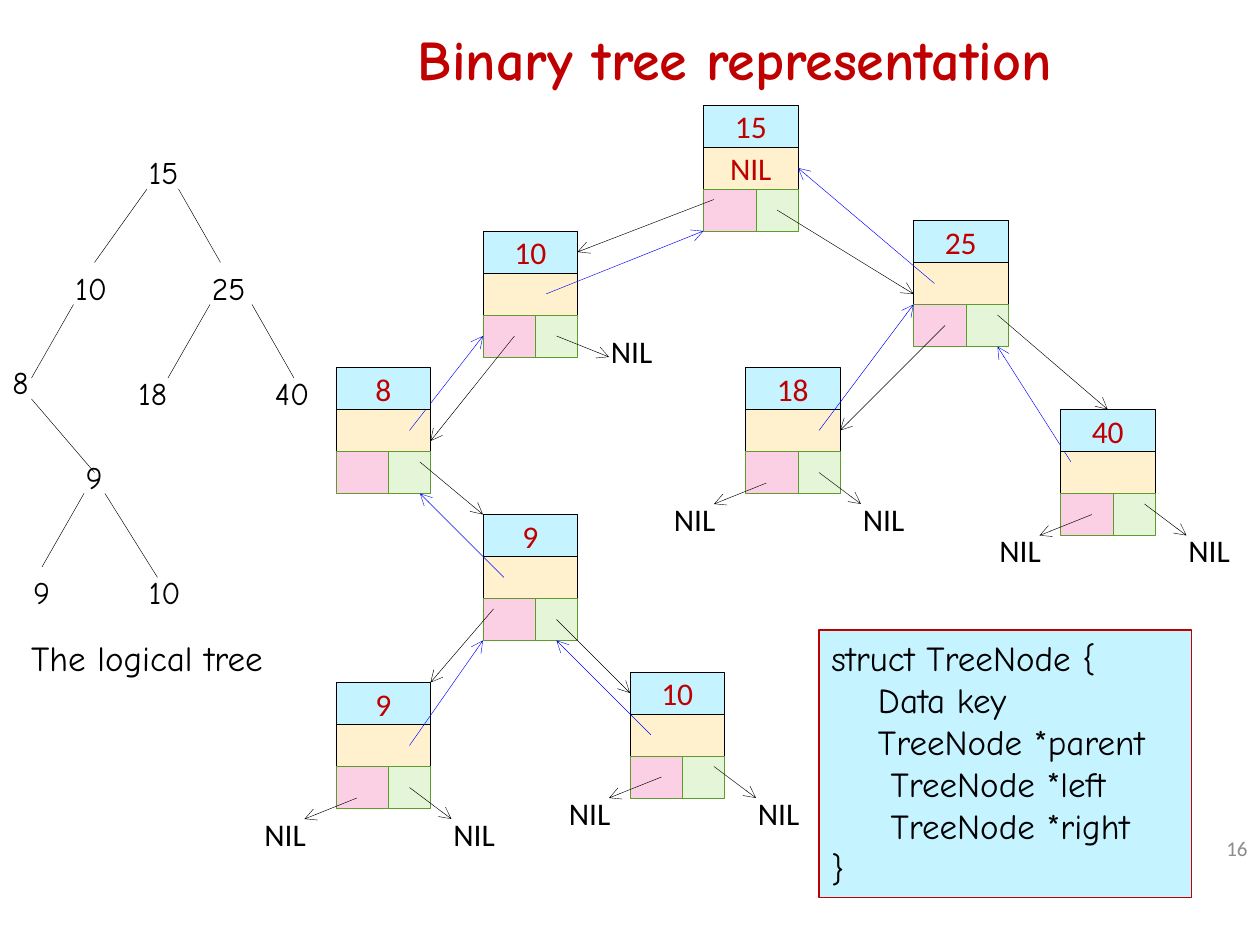
from lxml import etree
from pptx import Presentation, util as u
from pptx.dml.color import RGBColor
from pptx.enum import shapes, text
from pptx.oxml.ns import qn

BLACK = RGBColor(0x00, 0x00, 0x00)
RED = RGBColor(0xC0, 0x00, 0x00)
BLUE = RGBColor(0x00, 0x00, 0xFF)
GREY = RGBColor(0x8C, 0x8C, 0x8C)
SKY = RGBColor(0xC5, 0xF3, 0xFF)
CREAM = RGBColor(0xFF, 0xF1, 0xCE)
PINK = RGBColor(0xFB, 0xD0, 0xE4)
MINT = RGBColor(0xE5, 0xF6, 0xD8)
LEAF = RGBColor(0x5E, 0x9B, 0x2C)
HAND, SANS = "Comic Neue", "Calibri"
LEFT, CENTER, RIGHT = text.PP_ALIGN.LEFT, text.PP_ALIGN.CENTER, text.PP_ALIGN.RIGHT

prs = Presentation()
prs.slide_width, prs.slide_height = u.Inches(10), u.Inches(7.5)
UNIT = prs.slide_width // 120  # the slide is a grid of 120 columns by 90 rows
s = prs.slides.add_slide(prs.slide_layouts[5])


def put(x, y, w, h, lines=(), size=18, font=SANS, color=BLACK, align=LEFT,
        fill=None, line=BLACK, weight=0.25, wrap=False, anchor=text.MSO_ANCHOR.TOP):
    """Add a filled rectangle, or a plain text box when no fill is given."""
    at = [int(v * UNIT) for v in (x, y, w, h)]
    if fill is None:
        sp = s.shapes.add_textbox(*at)
    else:
        sp = s.shapes.add_shape(shapes.MSO_SHAPE.RECTANGLE, *at)
        sp.shadow.inherit = False
        sp.fill.solid()
        sp.fill.fore_color.rgb = fill
        sp.line.color.rgb = line
        sp.line.width = u.Pt(weight)
    tf = sp.text_frame
    tf.word_wrap = wrap
    tf.vertical_anchor = anchor
    for i, words in enumerate(lines):
        p = tf.add_paragraph() if i else tf.paragraphs[0]
        p.alignment = align
        r = p.add_run()
        r.text = words
        r.font.size, r.font.name, r.font.color.rgb = u.Pt(size), font, color
    return sp


def link(x1, y1, x2, y2, color=BLACK, arrow=True, target=None, side=0):
    c = s.shapes.add_connector(shapes.MSO_CONNECTOR.STRAIGHT,
                               *[int(v * UNIT) for v in (x1, y1, x2, y2)])
    c.line.color.rgb = color
    c.line.width = u.Pt(0.25)
    if arrow:
        etree.SubElement(c.line._get_or_add_ln(), qn("a:tailEnd"), type="arrow")
    etree.SubElement(c._element.spPr, qn("a:effectLst"))
    if target is not None:
        c.end_connect(target, side)


# Title and slide number
title = s.shapes.title
title.left, title.top, title.width, title.height = [
    int(v * UNIT) for v in (16, -2, 108, 15)]
title.text_frame.text = "Binary tree representation"
title.text_frame.vertical_anchor = text.MSO_ANCHOR.MIDDLE
title.text_frame.auto_size = text.MSO_AUTO_SIZE.NONE
p = title.text_frame.paragraphs[0]
p.alignment = CENTER
for name, value in {"size": u.Pt(32), "name": HAND, "bold": True}.items():
    setattr(p.runs[0].font, name, value)
p.runs[0].font.color.rgb = RED
put(92, 78.4, 28, 4.8, ["16"], 12, color=GREY, align=RIGHT, wrap=True,
    anchor=text.MSO_ANCHOR.MIDDLE)

# Node records: key on top, parent below it, then left and right pointers
nodes = {
    "root": ("15", 67, 10), "n10": ("10", 46, 22), "n25": ("25", 87, 21),
    "n8": ("8", 32, 35), "n9": ("9", 46, 49), "leaf9": ("9", 32, 65),
    "leaf10": ("10", 60, 64), "n18": ("18", 71, 35), "n40": ("40", 101, 39),
}
MIDDLE = {"color": RED, "align": CENTER, "anchor": text.MSO_ANCHOR.MIDDLE}
cells = {}
for name, (key, x, y) in nodes.items():
    parent = ["NIL"] if name == "root" else []
    cells[name, "parent"] = put(x, y + 4, 9, 4, parent, fill=CREAM, **MIDDLE)
    cells[name, "left"] = put(x, y + 8, 5, 4, fill=PINK, line=LEAF)
    cells[name, "right"] = put(x + 5, y + 8, 4, 4, fill=MINT, line=LEAF)

# Parent pointers that pass behind the key fields
for ends, target, side in [
    ((39, 41, 46, 32), ("n10", "left"), 1),
    ((62, 70, 53, 61), ("n9", "right"), 2),
    ((102, 44, 95, 33), None, 0),
]:
    link(*ends, color=BLUE, target=cells.get(target), side=side)

for name, (key, x, y) in nodes.items():
    cells[name, "key"] = put(x, y, 9, 4, [key], fill=SKY, **MIDDLE)

# Remaining parent pointers (blue) and child pointers (black)
for ends, color, target, side in [
    ((52, 28, 67, 22), BLUE, None, 0),
    ((89, 27, 76, 16), BLUE, ("root", "parent"), 3),
    ((48, 55, 40, 47), BLUE, None, 0),
    ((39, 71, 46, 61), BLUE, None, 0),
    ((78, 41, 87, 29), BLUE, None, 0),
    ((68, 19, 55, 24), BLACK, ("n10", "key"), 3),
    ((74, 20, 87, 28), BLACK, None, 0),
    ((49, 32, 41, 42), BLACK, None, 0),
    ((40, 44, 46, 49), BLACK, None, 0),
    ((47, 58, 41, 65), BLACK, None, 0),
    ((53, 59, 60, 66), BLACK, ("leaf10", "key"), 1),
    ((90, 31, 80, 41), BLACK, ("n18", "parent"), 3),
    ((95, 30, 105.5, 39), BLACK, ("n40", "key"), 0),
]:
    link(*ends, color=color, target=cells.get(target), side=side)

# Empty child pointers: arrow ends, then the offset of the NIL label
for x1, y1, x2, y2, dx, dy in [
    (53, 32, 58, 34, 1, 3),
    (63, 74, 58, 76, 5, 1), (68, 73, 72, 76, 1, 1),
    (34, 76, 29, 78, 5, 1), (39, 75, 43, 78, 1, 1),
    (73, 46, 68, 48, 5, 1), (78, 45, 82, 48, 1, 1),
    (104, 49, 99, 51, 5, 1), (109, 48, 113, 51, 1, 1),
]:
    link(x1, y1, x2, y2)
    put(x2 - dx, y2 - dy, 6.5, 4.8, ["NIL"])

# The logical tree
for key, x, y, w in [
    ("15", 13, 14, 5.6), ("10", 6, 25, 5.6), ("25", 19, 25, 6.1),
    ("8", 0, 34, 4.3), ("18", 12, 35, 5.6), ("40", 25, 35, 6.1),
    ("9", 7, 43, 4.3), ("9", 2, 54, 4.3), ("10", 13, 54, 5.6),
]:
    put(x, y, w, 4.8, [key], font=HAND)
for ends in [
    (14, 18, 9, 25), (17, 18, 21, 25), (7, 29, 3, 36), (20, 29, 16, 36),
    (24, 29, 28, 36), (3, 38, 9, 45), (8, 47, 4, 54), (10, 47, 15, 55),
]:
    link(*ends, arrow=False)
put(0, 60, 28, 5.3, ["The logical tree"], 20, HAND, align=CENTER, wrap=True)

# Declaration of the record
code = put(78, 60, 35.5, 25.5,
           ["struct TreeNode {", "Data key", "TreeNode *parent",
            "TreeNode *left", "TreeNode *right", "}"],
           20, HAND, fill=SKY, line=RED, weight=0.75)
for p, indent in zip(code.text_frame.paragraphs, (0, 0.37, 0.37, 0.47, 0.47, 0)):
    p._p.get_or_add_pPr().set("marL", str(u.Inches(indent)))

prs.save("out.pptx")
